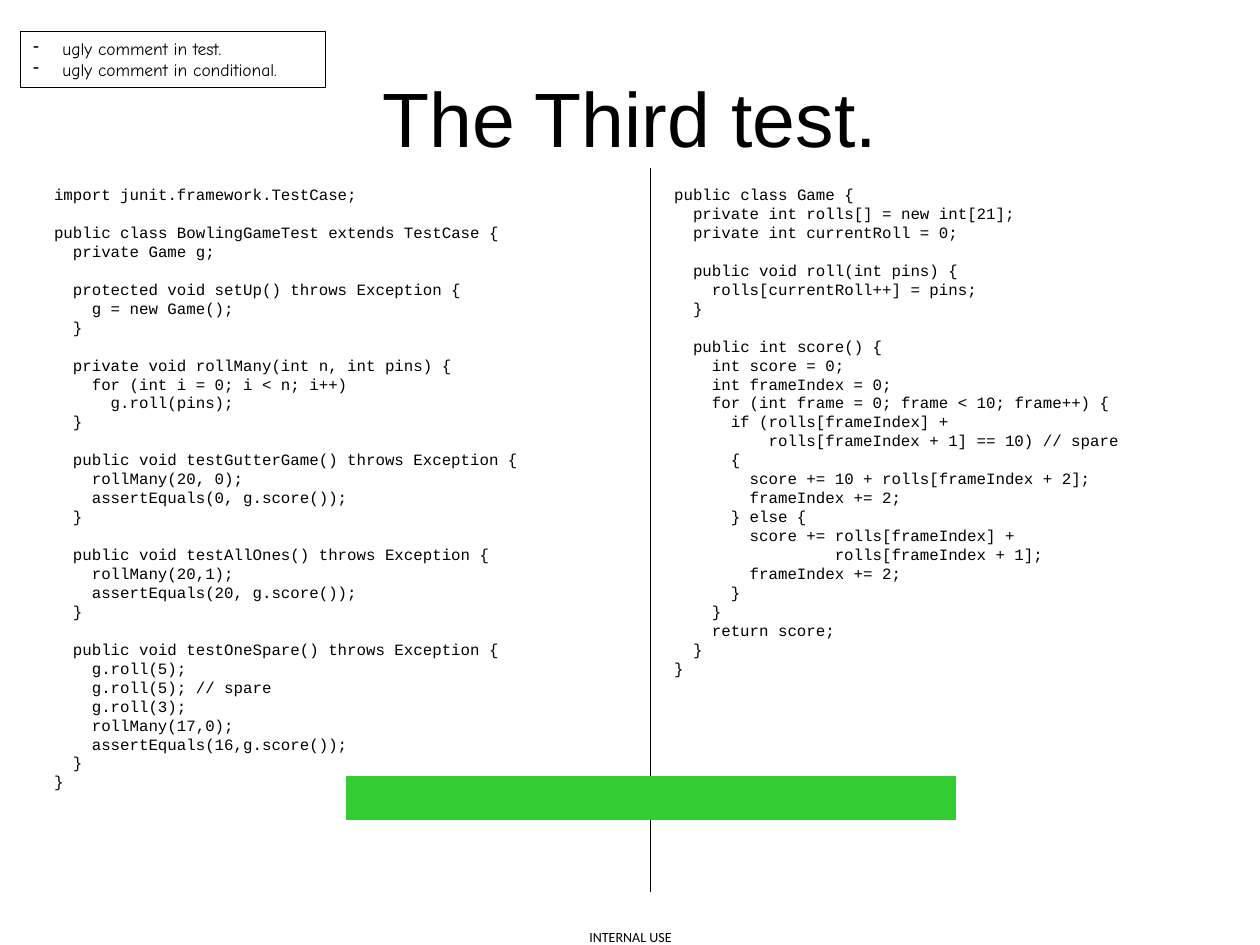
from pptx import Presentation
from pptx.dml.color import RGBColor
from pptx.enum.shapes import MSO_CONNECTOR, MSO_SHAPE
from pptx.enum.text import MSO_ANCHOR, MSO_AUTO_SIZE, PP_ALIGN
from pptx.oxml.ns import qn
from pptx.util import Cm, Pt
from lxml import etree

BLACK = RGBColor(0x00, 0x00, 0x00)
GREEN = RGBColor(0x33, 0xCC, 0x33)
LEFT, CENTER = PP_ALIGN.LEFT, PP_ALIGN.CENTER
TOP, MIDDLE = MSO_ANCHOR.TOP, MSO_ANCHOR.MIDDLE
FIT = MSO_AUTO_SIZE.SHAPE_TO_FIT_TEXT
FIXED = MSO_AUTO_SIZE.NONE
RECT, STRAIGHT = MSO_SHAPE.RECTANGLE, MSO_CONNECTOR.STRAIGHT

TEST = """\
import junit.framework.TestCase;

public class BowlingGameTest extends TestCase {
  private Game g;

  protected void setUp() throws Exception {
    g = new Game();
  }

  private void rollMany(int n, int pins) {
    for (int i = 0; i < n; i++)
      g.roll(pins);
  }

  public void testGutterGame() throws Exception {
    rollMany(20, 0);
    assertEquals(0, g.score());
  }

  public void testAllOnes() throws Exception {
    rollMany(20,1);
    assertEquals(20, g.score());
  }

  public void testOneSpare() throws Exception {
    g.roll(5);
    g.roll(5); // spare
    g.roll(3);
    rollMany(17,0);
    assertEquals(16,g.score());
  }
}"""

GAME = """\
public class Game {
  private int rolls[] = new int[21];
  private int currentRoll = 0;

  public void roll(int pins) {
    rolls[currentRoll++] = pins;
  }

  public int score() {
    int score = 0;
    int frameIndex = 0;
    for (int frame = 0; frame < 10; frame++) {
      if (rolls[frameIndex] +
          rolls[frameIndex + 1] == 10) // spare
      {
        score += 10 + rolls[frameIndex + 2];
        frameIndex += 2;
      } else {
        score += rolls[frameIndex] +
                 rolls[frameIndex + 1];
        frameIndex += 2;
      }
    }
    return score;
  }
}"""

NOTES = ["ugly comment in test.", "ugly comment in conditional."]


def assign(obj, vals):
    for key, val in vals.items():
        setattr(obj, key, val)


class Deck:
    """Holds the text styles and the current slide."""

    fonts = {
        "title": {"name": "Arial", "size": Pt(44)},
        "code": {"name": "Courier New", "size": Pt(9)},
        "note": {"name": "Comic Neue", "size": Pt(10)},
        "foot": {"name": "Calibri", "size": Pt(8)},
    }
    pitch = Pt(10.84)  # height of a line of code
    char = Pt(5.4)  # width of a character of code
    hang = Cm(0.59)
    pen = Pt(0.75)

    def __init__(self, slide):
        self.slide = slide
        self.shapes = slide.shapes

    def add_text(self, para, text, style):
        run = para.add_run()
        run.text = text
        assign(run.font, self.fonts[style])
        run.font.color.rgb = BLACK

    def fill_lines(self, frame, count):
        """Return count paragraphs of the frame, adding what is missing."""
        while len(frame.paragraphs) < count:
            frame.add_paragraph()
        return frame.paragraphs

    def title(self, text, *area):
        box = self.shapes.title
        assign(box, dict(zip(("left", "top", "width", "height"), area)))
        frame = box.text_frame
        assign(frame, {"vertical_anchor": MIDDLE, "auto_size": FIXED})
        para = frame.paragraphs[0]
        para.alignment = CENTER
        self.add_text(para, text, "title")

    def foot(self, text, *area):
        frame = self.shapes.add_textbox(*area).text_frame
        assign(frame, {"margin_left": 0, "margin_right": 0, "margin_top": 0,
                       "margin_bottom": 0, "auto_size": FIT,
                       "word_wrap": False})
        self.add_text(frame.paragraphs[0], text, "foot")

    def code(self, text, *area):
        """Indent by margin, and turn empty lines into space before."""
        frame = self.shapes.add_textbox(*area).text_frame
        assign(frame, {"word_wrap": True, "auto_size": FIT})
        lines = text.split("\n")
        filled = [i for i, line in enumerate(lines) if line]
        paras = self.fill_lines(frame, len(filled))
        for para, i in zip(paras, filled):
            body = lines[i].lstrip()
            empty = i > 0 and not lines[i - 1]
            assign(para, {"line_spacing": self.pitch,
                          "space_before": self.pitch if empty else Pt(0)})
            depth = len(lines[i]) - len(body)
            para._p.get_or_add_pPr().set("marL", str(depth * self.char))
            self.add_text(para, body, "code")

    def rect(self, color, line, *area):
        box = self.shapes.add_shape(RECT, *area)
        box.shadow.inherit = False
        if color is None:
            box.fill.background()
        else:
            box.fill.solid()
            box.fill.fore_color.rgb = color
        box.line.color.rgb = line
        box.line.width = self.pen
        return box

    def notes(self, items, *area):
        frame = self.rect(None, BLACK, *area).text_frame
        assign(frame, {"word_wrap": True, "vertical_anchor": TOP,
                       "auto_size": FIT})
        for para, item in zip(self.fill_lines(frame, len(items)), items):
            para.alignment = LEFT
            props = para._p.get_or_add_pPr()
            props.set("marL", str(self.hang))
            props.set("indent", str(-self.hang))
            etree.SubElement(props, qn("a:buChar")).set("char", "-")
            self.add_text(para, item, "note")

    def rule(self, *ends):
        line = self.shapes.add_connector(STRAIGHT, *ends)
        line.line.color.rgb = BLACK
        line.line.width = self.pen
        etree.SubElement(line._element.spPr, qn("a:effectLst"))


def main():
    prs = Presentation()
    prs.slide_width, prs.slide_height = Cm(25.4), Cm(19.05)
    deck = Deck(prs.slides.add_slide(prs.slide_layouts[5]))

    deck.foot("INTERNAL USE", Cm(11.88), Cm(18.71), Cm(1.7), Cm(0.34))
    deck.title("The Third test.", Cm(1.27), Cm(0.76), Cm(22.86), Cm(3.18))
    top, wide = Cm(3.6), Cm(11.22)
    deck.code(TEST, Cm(0.84), top, wide, Cm(12.5))
    mid = Cm(13.12)
    deck.rule(mid, Cm(3.39), mid, Cm(17.99))
    deck.code(GAME, Cm(13.34), top, wide, Cm(10.19))
    deck.notes(NOTES, Cm(0.42), Cm(0.64), Cm(6.14), Cm(1.12))
    deck.rect(GREEN, GREEN, Cm(6.99), Cm(15.66), Cm(12.28), Cm(0.85))

    prs.save("out.pptx")


if __name__ == "__main__":
    main()
